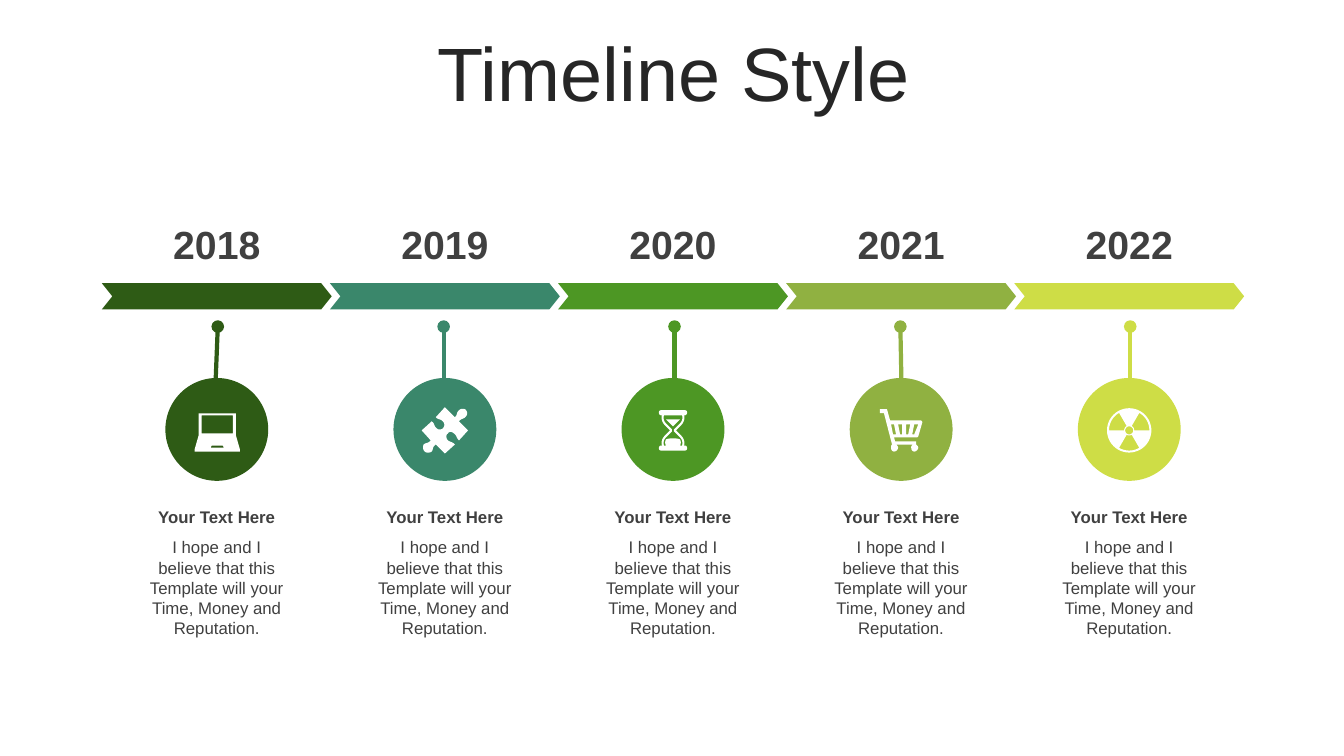
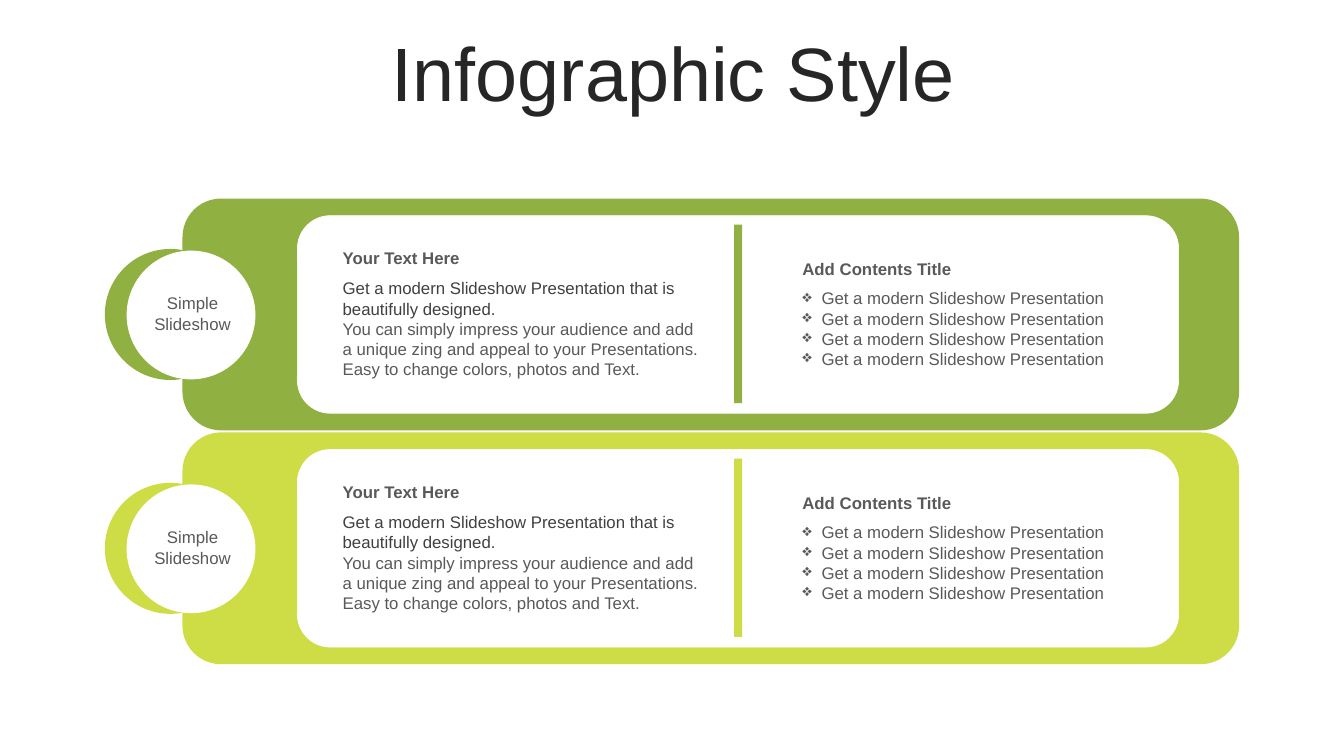
import math

from pptx import Presentation
from pptx import util as u
from pptx.dml import color
from pptx.enum import shapes, text
from pptx.oxml import ns, xmlchemy

PX = 9144  # 100 px to the inch
FONT = "Arial"
TITLE, DARK, GREY, WHITE = "262626", "404040", "595959", "FFFFFF"
FOREST, TEAL, GREEN, OLIVE, LIME = "2E5B15", "3A876B", "4D9724", "90B141", "CEDD46"
SHAPE, ALIGN = shapes.MSO_SHAPE, text.PP_ALIGN


def px(*lengths):
    return [u.Emu(round(length * PX)) for length in lengths]


def rgb(value):
    return color.RGBColor.from_string(value)


def apply(target, values):
    for name, value in values.items():
        setattr(target, name, value)


def add_xml(parent, tag, **attributes):
    element = xmlchemy.OxmlElement(tag)
    for name, value in attributes.items():
        element.set(name, str(value))
    parent.append(element)


def flatten(points, steps=5):
    """Turn six-number Bezier entries into short straight steps."""
    flat = []
    for point in points:
        if len(point) == 2:
            flat.append(point)
            continue
        curve = [flat[-1], point[:2], point[2:4], point[4:]]
        for step in range(1, steps + 1):
            t = step / steps
            weights = ((1 - t) ** 3, 3 * t * (1 - t) ** 2, 3 * t * t * (1 - t), t ** 3)
            flat.append(tuple(sum(w * p[axis] for w, p in zip(weights, curve))
                              for axis in (0, 1)))
    return flat


def mirror(quarter):
    """Complete an upper right quarter to a symmetric outline."""
    corner = flatten(quarter)
    right = corner + [(x, -y) for x, y in reversed(corner)]
    return right + [(-x, y) for x, y in reversed(right)]


def arc(radius, start, end, steps=24):
    angles = [math.radians(start + (end - start) * i / steps) for i in range(steps + 1)]
    return [(radius * math.cos(a), radius * math.sin(a)) for a in angles]


LAPTOP = [
    [(-18, -17), (19, -17), (19, 5), (23, 19), (23, 21), (-22, 21), (-22, 19), (-18, 5)],
    [(-15, -15), (16, -15), (16, 3), (-15, 3)],
    [(-5, 15), (6, 15), (7, 17), (-6, 17)],
]
PUZZLE = [[
    (21, -20), (22, -19, 23, -16, 21, -14), (19, -11, 16, -12, 14, -9), (23, 0), (14, 10),
    (11, 7, 12, 5, 9, 3), (7, 1, 4, 1, 3, 3), (1, 4, 1, 8, 3, 10), (6, 12, 7, 11, 10, 14),
    (0, 23), (-9, 14), (-13, 17, -11, 18, -13, 21), (-16, 23, -19, 22, -20, 21),
    (-22, 19, -22, 16, -21, 14), (-19, 12, -16, 13, -14, 10), (-23, 0), (-13, -9),
    (-10, -7, -11, -4, -8, -2), (-6, 0, -3, -1, -2, -2), (0, -4, 0, -7, -2, -9),
    (-5, -12, -6, -10, -9, -13), (0, -23), (10, -13), (13, -16, 11, -17, 14, -20),
    (16, -22, 20, -22, 21, -20),
]]
HOURGLASS = [
    mirror([(12, -20), (13, -20, 14, -19, 14, -18), (14, -16, 13, -15, 12, -15),
            (11, -15), (12, -12, 11, -8, 8, -5), (3, 0)]),
    mirror([(9, -15), (10, -12, 9, -9, 7, -7), (1, -1)]),
    [(-7, -11), (7, -11), (5, -9), (0, -4), (-5, -9)],
    [(0, 8), (3, 8, 5, 8, 7, 9), (8, 11, 8, 13, 7, 15), (-7, 15),
     (-8, 13, -8, 11, -7, 9), (-5, 8, -3, 8, 0, 8)],
]
CART = [
    [(-14, -21), (-11, -10), (19, -10), (20, -10, 21, -9, 21, -8), (17, 6),
     (16, 7, 16, 7, 15, 7), (-7, 7), (-6, 11), (15, 11), (15, 14),
     (16, 15, 17, 16, 17, 17), (17, 19, 15, 21, 13, 21), (11, 21, 10, 19, 10, 17),
     (10, 16, 10, 15, 12, 14), (-5, 14), (-4, 15, -3, 16, -3, 17),
     (-3, 19, -5, 21, -7, 21), (-9, 21, -10, 19, -10, 17), (-10, 16, -10, 15, -9, 14),
     (-17, -17), (-21, -17), (-21, -21)],
    [(13, -6), (11, 4), (13, 4), (17, -6)],
    [(5, -6), (5, 4), (7, 4), (9, -6)],
    [(-3, -6), (-1, 4), (1, 4), (1, -6)],
    [(-10, -6), (-8, 4), (-5, 4), (-7, -6)],
]
RADIATION = [arc(22, 0, 360, 48), arc(4, 0, 360)] + [
    arc(20, start, start + 60) + arc(5, start + 60, start) for start in (60, 180, 300)]


class Deck:
    """Holds the shared style and the page being filled."""

    def __init__(self):
        self.file = Presentation()
        self.file.slide_width, self.file.slide_height = px(1333, 750)
        self.page = None

    def new_page(self, title):
        self.page = self.file.slides.add_slide(self.file.slide_layouts[5])
        box = self.page.shapes.title
        apply(box, dict(zip(("left", "top", "width", "height"), px(35, 37, 1266, 79))))
        apply(box.text_frame, {"vertical_anchor": text.MSO_ANCHOR.MIDDLE, "word_wrap": True,
                               "auto_size": text.MSO_AUTO_SIZE.NONE})
        para = box.text_frame.paragraphs[0]
        apply(para, {"alignment": ALIGN.CENTER, "line_spacing": 0.9})
        self.span(para, title, TITLE, 54)

    def span(self, para, words, colour, size=12, bold=False):
        span = para.add_run()
        span.text = words
        apply(span.font, {"name": FONT, "size": u.Pt(size), "bold": bold})
        span.font.color.rgb = rgb(colour)

    def paint(self, shape, fill, line=None):
        shape.shadow.inherit = False
        shape.fill.solid()
        shape.fill.fore_color.rgb = rgb(fill)
        if line:
            shape.line.color.rgb = rgb(line)
            shape.line.width = u.Pt(0.5)
        else:
            shape.line.fill.background()

    def shape(self, kind, at, fill, line=None, adjust=None):
        shape = self.page.shapes.add_shape(kind, *px(*at))
        self.paint(shape, fill, line)
        if adjust is not None:
            shape.adjustments[0] = adjust

    def icon(self, contours, centre):
        """Draw white contours around a centre; inner contours become holes."""
        builder = None
        for contour in contours:
            points = [px(centre[0] + x, centre[1] + y) for x, y in flatten(contour)]
            if builder is None:
                builder = self.page.shapes.build_freeform(*points[0], scale=1.0)
            else:
                builder.move_to(*points[0])
            builder.add_line_segments(points[1:], close=True)
        self.paint(builder.convert_to_shape(), WHITE)

    def pin(self, start, end, colour):
        """Draw a line that starts with a round head."""
        line = self.page.shapes.add_connector(
            shapes.MSO_CONNECTOR.STRAIGHT, *px(*start, *end))
        line.line.color.rgb = rgb(colour)
        line.line.width = u.Pt(3)
        properties = line._element.spPr
        add_xml(properties.find(ns.qn("a:ln")), "a:headEnd", type="oval")
        add_xml(properties, "a:effectLst")

    def text(self, at, paragraphs, align=ALIGN.LEFT, bullet=None, **style):
        """Write (words, colour) paragraphs in a wrapping box."""
        box = self.page.shapes.add_textbox(*px(*at))
        frame = box.text_frame
        apply(frame, {"word_wrap": True, "auto_size": text.MSO_AUTO_SIZE.SHAPE_TO_FIT_TEXT})
        for index, (words, colour) in enumerate(paragraphs):
            para = frame.add_paragraph() if index else frame.paragraphs[0]
            para.alignment = align
            if bullet:
                indent = px(19)[0]
                properties = para._p.get_or_add_pPr()
                apply_indent = {"marL": indent, "indent": -indent}
                for name, value in apply_indent.items():
                    properties.set(name, str(value))
                add_xml(properties, "a:buChar", char=bullet)
            self.span(para, words, colour, **style)


def timeline(deck):
    deck.new_page("Timeline Style")
    stages = [
        ("2018", FOREST, LAPTOP, 216, 214),
        ("2019", TEAL, PUZZLE, 440, 440),
        ("2020", GREEN, HOURGLASS, 669, 669),
        ("2021", OLIVE, CART, 893, 894),
        ("2022", LIME, RADIATION, 1121, 1121),
    ]
    story = "I hope and I believe that this Template will your Time, Money and Reputation."
    for index, (year, colour, icon, pin_top, pin_foot) in enumerate(stages):
        centre = 215 + index * 226.25
        deck.shape(SHAPE.CHEVRON, (centre - 114, 281, 228, 26), colour, adjust=0.4)
        deck.text((centre - 78, 214, 156, 57), [(year, DARK)], ALIGN.CENTER,
                  size=28, bold=True)
        deck.shape(SHAPE.OVAL, (centre - 51, 375, 102, 102), colour)
        deck.pin((pin_top, 324), (pin_foot, 375), colour)
        deck.icon(icon, (centre, 427))
        deck.text((centre - 77, 498, 154, 30), [("Your Text Here", DARK)], ALIGN.CENTER,
                  bold=True)
        deck.text((centre - 77, 528, 154, 111), [(story, DARK)], ALIGN.CENTER)


def infographic(deck):
    deck.new_page("Infographic Style")
    story = [
        ("Get a modern Slideshow Presentation that is beautifully designed.", DARK),
        ("You can simply impress your audience and add a unique zing and appeal to your "
         "Presentations. Easy to change colors, photos and Text.", GREY),
    ]
    points = [("Get a modern Slideshow Presentation", GREY)] * 4
    for index, colour in enumerate((OLIVE, LIME)):
        top = 197 + index * 232
        deck.shape(SHAPE.ROUNDED_RECTANGLE, (181, top, 1048, 230), colour)
        deck.shape(SHAPE.ROUNDED_RECTANGLE, (295, top + 17, 874, 196), WHITE, WHITE)
        deck.shape(SHAPE.OVAL, (104, top + 50, 130, 130), colour)
        deck.shape(SHAPE.OVAL, (126, top + 52, 127, 127), WHITE, WHITE)
        deck.text((134, top + 89, 114, 50), [("Simple", GREY), ("Slideshow", GREY)],
                  ALIGN.CENTER)
        deck.shape(SHAPE.RECTANGLE, (728, top + 26, 8, 177), colour)
        deck.text((330, top + 44, 378, 30), [("Your Text Here", GREY)], bold=True)
        deck.text((330, top + 74, 378, 111), story)
        deck.text((786, top + 55, 345, 30), [("Add Contents Title", GREY)], bold=True)
        deck.text((786, top + 84, 345, 91), points, bullet="❖")


def main():
    deck = Deck()
    timeline(deck)
    infographic(deck)
    deck.file.save("out.pptx")


if __name__ == "__main__":
    main()
